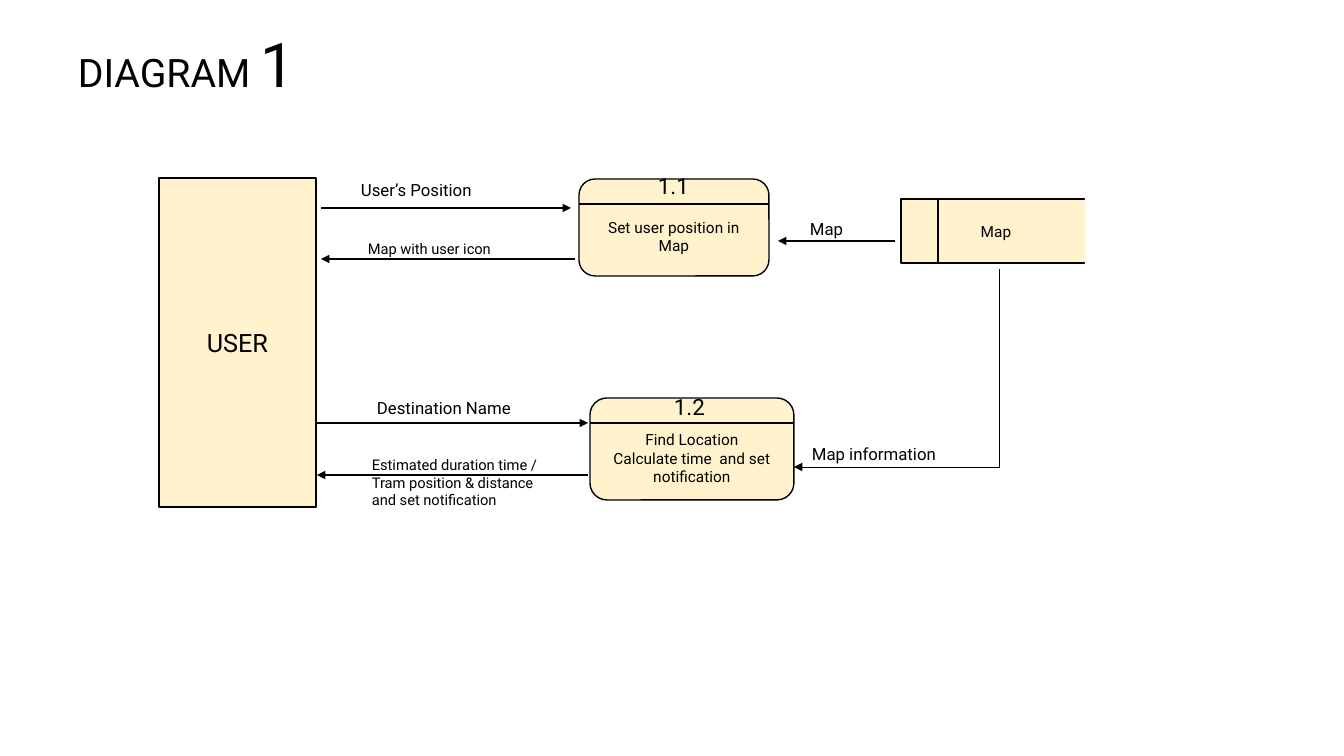
from lxml.etree import SubElement
from pptx import Presentation
from pptx.dml.color import RGBColor
from pptx.enum.shapes import MSO_CONNECTOR as Link, MSO_SHAPE as Shape
from pptx.enum.text import MSO_ANCHOR as Anchor, PP_ALIGN as Align
from pptx.oxml.ns import qn
from pptx.util import Pt

SCALE = 914400 / 100.8
INK, CREAM, WHITE = "000000", "FFF2CC", "FFFFFF"


def px(n):
    """Turn pixels into EMU."""
    return round(n * SCALE)


def color(code):
    """Turn a hex string into a colour."""
    return RGBColor.from_string(code)


class Board:
    """Holds the style and the current slide."""

    font = "Roboto"

    def __init__(self, slide):
        """Keep the shapes of the slide."""
        self.shapes = slide.shapes

    def style(self, run, size):
        """Set the font of one run."""
        run.font.name = self.font
        run.font.size = Pt(size)
        run.font.color.rgb = color(INK)

    def fill_text(self, frame, text, size, align):
        """Fill a text frame and style its runs."""
        frame.word_wrap = True
        frame.text = text
        for para in frame.paragraphs:
            para.alignment = align
            for run in para.runs:
                self.style(run, size)

    def label(self, text, left, top, width, height, size=12, align=Align.LEFT):
        """Add a plain text box."""
        box = self.shapes.add_textbox(px(left), px(top), px(width), px(height))
        self.fill_text(box.text_frame, text, size, align)
        return box.text_frame

    def box(self, text, left, top, width, height, size=11,
            kind=Shape.RECTANGLE, fill=CREAM, edge=INK, drop=5):
        """Add a filled shape with centred text, pushed down by drop."""
        box = self.shapes.add_shape(kind, px(left), px(top), px(width), px(height))
        box.shadow.inherit = False
        box.fill.solid()
        box.fill.fore_color.rgb = color(fill)
        if edge:
            box.line.color.rgb = color(edge)
            box.line.width = Pt(1)
        else:
            box.line.fill.background()
        frame = box.text_frame
        frame.vertical_anchor = Anchor.MIDDLE
        frame.margin_top = px(drop)
        if text:
            self.fill_text(frame, text, size, Align.CENTER)

    def line(self, x1, y1, x2, y2, head=False, bent=False):
        """Add a line, with an arrowhead or a corner if asked."""
        kind = Link.ELBOW if bent else Link.STRAIGHT
        link = self.shapes.add_connector(kind, px(x1), px(y1), px(x2), px(y2))
        link.line.color.rgb = color(INK)
        link.line.width = Pt(0.5 if bent else 1)
        props = link._element.spPr
        if head:
            SubElement(props.find(qn("a:ln")), qn("a:tailEnd"), type="triangle")
        if bent:
            guides = props.find(qn("a:prstGeom")).get_or_add_avLst()
            SubElement(guides, qn("a:gd"), name="adj1", fmla="val 0")
        SubElement(props, qn("a:effectLst"))

    def arrow(self, x1, y1, x2, y2, bent=False):
        """Add a line that ends in an arrowhead."""
        self.line(x1, y1, x2, y2, True, bent)

    def process(self, mark, text, left, top, width, height, rule, spot):
        """Add a round box with a numbered band on top."""
        self.box(text, left, top, width, height, kind=Shape.ROUNDED_RECTANGLE, drop=23)
        self.line(left, rule, left + width, rule)
        self.label(mark, *spot, 76, 38, 16)


deck = Presentation()
deck.slide_width, deck.slide_height = px(1344), px(756)
board = Board(deck.slides.add_slide(deck.slide_layouts[6]))

title = board.label("DIAGRAM ", 68, 21, 260, 85, 28)
count = title.paragraphs[0].add_run()
count.text = "1"
board.style(count, 44)

board.box("USER", 159, 178, 157, 329, 18)
board.process("1.1", "Set user position in\nMap", 579, 179, 190, 97, 204, (648, 167))
board.process("1.2", "Find Location\nCalculate time  and set notification",
              590, 398, 204, 102, 423, (664, 388))

# Data store, open on its right side
board.box("Map", 901, 199, 190, 64)
board.line(938, 199, 938, 263)
board.box("", 1085, 198, 16, 67, fill=WHITE, edge=None)

for flow in ((321, 208, 571, 208), (575, 259, 321, 259), (317, 423, 588, 423),
             (588, 475, 317, 475), (895, 241, 778, 241)):
    board.arrow(*flow)
board.arrow(999, 269, 794, 467, bent=True)

board.label("User’s Position", 351, 175, 138, 30)
board.label("Map with user icon", 358, 235, 210, 28, 10.5)
board.label("Destination Name", 367, 393, 246, 39)
board.label("Estimated duration time /\nTram position & distance and set notification",
            362, 451, 205, 64, 10.5)
board.label("Map", 780, 214, 93, 30, align=Align.CENTER)
board.label("Map information", 802, 439, 173, 30)

deck.save("out.pptx")
